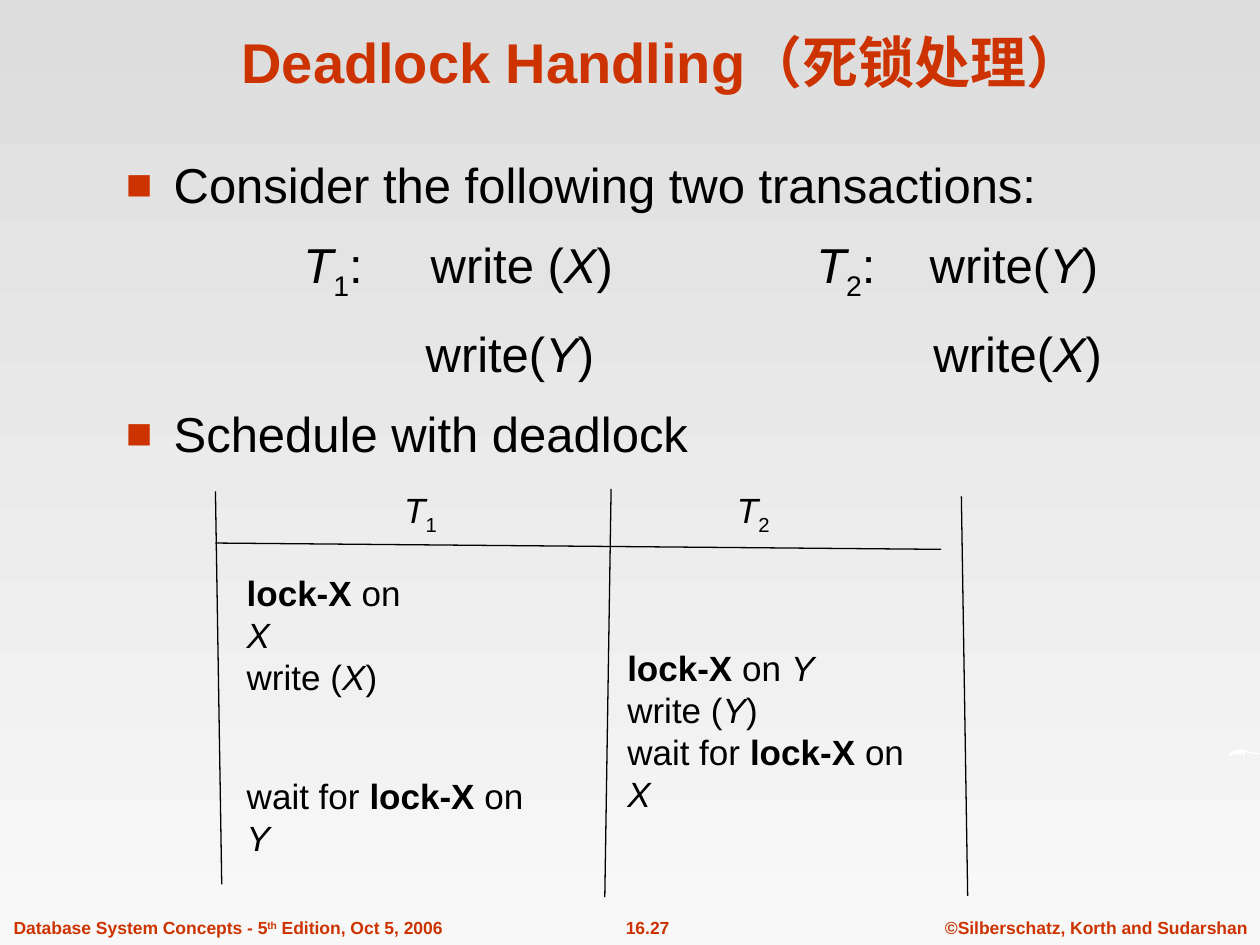
from typing import NamedTuple

from lxml import etree
from pptx import Presentation
from pptx import util as u
from pptx.dml.color import RGBColor
from pptx.enum import shapes, text
from pptx.oxml import ns

COLORS = {"accent": "CC3300", "ink": "000000", "top": "DDDDDD", "bottom": "F8F8F8", "white": "FFFFFF"}
FONT = "Arial"
LEFT, CENTER = text.PP_ALIGN.LEFT, text.PP_ALIGN.CENTER


class Run(NamedTuple):
    """A piece of text with its emphasis and baseline shift in percent."""
    text: str
    bold: bool = False
    italic: bool = False
    shift: int = 0


class Line(NamedTuple):
    """A paragraph with tab stops in inches and an optional bullet."""
    runs: list[Run]
    tabs: tuple[float, ...] = ()
    bullet: bool = False


class Block(NamedTuple):
    """A text box: place in inches, paragraphs and common formatting."""
    place: tuple[float, float, float, float]
    lines: list[Line]
    size: float = 20
    color: str = "ink"
    align: text.PP_ALIGN = LEFT
    wrap: bool = True
    space: float = 0
    anchor: text.MSO_ANCHOR = text.MSO_ANCHOR.TOP


class Rule(NamedTuple):
    """A straight line between two points in inches."""
    start: tuple[float, float]
    end: tuple[float, float]


def italic(letter: str) -> Run:
    return Run(letter, italic=True)


def transaction(number: str) -> list[Run]:
    return [italic("T"), Run(number, shift=-25)]


def write(item: str, opening: str = "write (") -> list[Run]:
    return [Run(opening), italic(item), Run(")")]


def lock(item: str) -> list[Run]:
    return [Run("lock-X", bold=True), Run(" on "), italic(item)]


def wait(item: str) -> list[Run]:
    return [Run("wait for "), *lock(item)]


def bold(words: str) -> list[Run]:
    return [Run(words, bold=True)]


def footer(left: float, width: float, runs: list[Run], align: text.PP_ALIGN = CENTER) -> Block:
    return Block((left, 7.23, width, 0.27), [Line(runs)], 10, "accent", align, wrap=False)


BLOCKS = [
    footer(7.4, 2.6, bold("©Silberschatz, Korth and Sudarshan")),
    footer(4.61, 1.06, bold("16.27")),
    footer(0.01, 3.8, [*bold("Database System Concepts - 5"), Run("th", bold=True, shift=30),
                       *bold(" Edition, Oct 5, 2006")], LEFT),
    Block((0.84, 0.13, 8.83, 0.67), [Line(bold("Deadlock Handling（死锁处理）"))], 32, "accent", CENTER,
          anchor=text.MSO_ANCHOR.BOTTOM),
    Block((0.9, 1.18, 8.38, 5.36), [
        Line([Run("Consider the following two transactions:")], bullet=True),
        Line([Run("\t"), *transaction("1"), Run(":\t"), *write("X"),
              Run("\t"), *transaction("2"), Run(":\t"), *write("Y", "write(")],
             (1.41, 2.42, 5.48, 6.38)),
        Line([Run("\t"), *write("Y", "write("), Run("\t"), *write("X", "write(")], (2.38, 6.41)),
        Line([Run("Schedule with deadlock")], bullet=True),
    ], 28, space=12.2),
    Block((3.11, 3.83, 0.96, 0.48), [Line(transaction("1"))]),
    Block((5.75, 3.83, 0.94, 0.48), [Line(transaction("2"))]),
    Block((1.86, 4.49, 1.64, 1.1), [Line(lock("X")), Line(write("X"))]),
    Block((4.88, 5.08, 2.58, 1.44), [Line(lock("Y")), Line(write("Y")), Line(wait("X"))]),
    Block((1.86, 6.1, 2.58, 0.77), [Line(wait("Y"))]),
]
RULES = [
    Rule((1.71, 4.31), (7.47, 4.36)),
    Rule((1.71, 3.9), (1.76, 7.02)),
    Rule((4.85, 3.88), (4.8, 7.12)),
    Rule((7.63, 3.94), (7.68, 7.11)),
]
SWOOSH = [(975, 601), (976, 598), (979, 596), (983, 595), (987, 595), (993, 597), (1000, 598),
          (998, 599), (993, 598), (988, 597), (988, 600), (985, 597), (985, 600), (982, 597),
          (983, 600), (980, 598), (978, 599)]


def rgb(name: str) -> RGBColor:
    return RGBColor.from_string(COLORS[name])


def add_line_marks(properties: etree._Element, line: Line) -> None:
    """Add the bullet and the tab stops of a paragraph."""
    if line.bullet:
        properties.set("marL", str(u.Inches(0.38)))
        properties.set("indent", str(-u.Inches(0.38)))
        color = etree.SubElement(properties, ns.qn("a:buClr"))
        etree.SubElement(color, ns.qn("a:srgbClr"), val=COLORS["accent"])
        etree.SubElement(properties, ns.qn("a:buSzPct"), val="90000")
        etree.SubElement(properties, ns.qn("a:buFont"), typeface=FONT)
        etree.SubElement(properties, ns.qn("a:buChar"), char="■")
    if line.tabs:
        stops = etree.SubElement(properties, ns.qn("a:tabLst"))
        for position in line.tabs:
            etree.SubElement(stops, ns.qn("a:tab"), pos=str(u.Inches(position)), algn="l")


def add_block(slide, block: Block) -> None:
    """Draw a text box with its formatted paragraphs."""
    shape = slide.shapes.add_textbox(*map(u.Inches, block.place))
    frame = shape.text_frame
    frame.word_wrap = block.wrap
    frame.vertical_anchor = block.anchor
    for index, line in enumerate(block.lines):
        paragraph = frame.add_paragraph() if index else frame.paragraphs[0]
        paragraph.alignment = block.align
        if index:
            paragraph.space_before = u.Pt(block.space)
        add_line_marks(paragraph._p.get_or_add_pPr(), line)
        for piece in line.runs:
            run = paragraph.add_run()
            run.text = piece.text
            run.font.name = FONT
            run.font.size = u.Pt(block.size)
            run.font.bold = piece.bold
            run.font.italic = piece.italic
            run.font.color.rgb = rgb(block.color)
            if piece.shift:
                run._r.get_or_add_rPr().set("baseline", str(piece.shift * 1000))


def add_rule(slide, rule: Rule) -> None:
    """Draw a thin straight line."""
    connector = slide.shapes.add_connector(
        shapes.MSO_CONNECTOR.STRAIGHT, *map(u.Inches, rule.start + rule.end))
    connector.line.color.rgb = rgb("ink")
    connector.line.width = u.Pt(0.75)
    etree.SubElement(connector._element.spPr, ns.qn("a:effectLst"))


def add_swoosh(slide) -> None:
    """Draw the white curved mark at the right edge."""
    builder = slide.shapes.build_freeform(*SWOOSH[0], scale=u.Inches(0.01))
    builder.add_line_segments(SWOOSH[1:], close=True)
    shape = builder.convert_to_shape()
    shape.shadow.inherit = False
    shape.fill.solid()
    shape.fill.fore_color.rgb = rgb("white")
    shape.line.fill.background()


def paint_background(slide) -> None:
    """Fill the background with a vertical gradient."""
    fill = slide.background.fill
    fill.gradient()
    fill.gradient_angle = 270
    for stop, name in zip(fill.gradient_stops, ("top", "bottom")):
        stop.color.rgb = rgb(name)


def main() -> None:
    """Build and save the slide."""
    presentation = Presentation()
    presentation.slide_width, presentation.slide_height = u.Inches(10), u.Inches(7.5)
    slide = presentation.slides.add_slide(presentation.slide_layouts[6])
    paint_background(slide)
    add_swoosh(slide)
    for rule in RULES:
        add_rule(slide, rule)
    for block in BLOCKS:
        add_block(slide, block)
    presentation.save("out.pptx")


if __name__ == "__main__":
    main()
